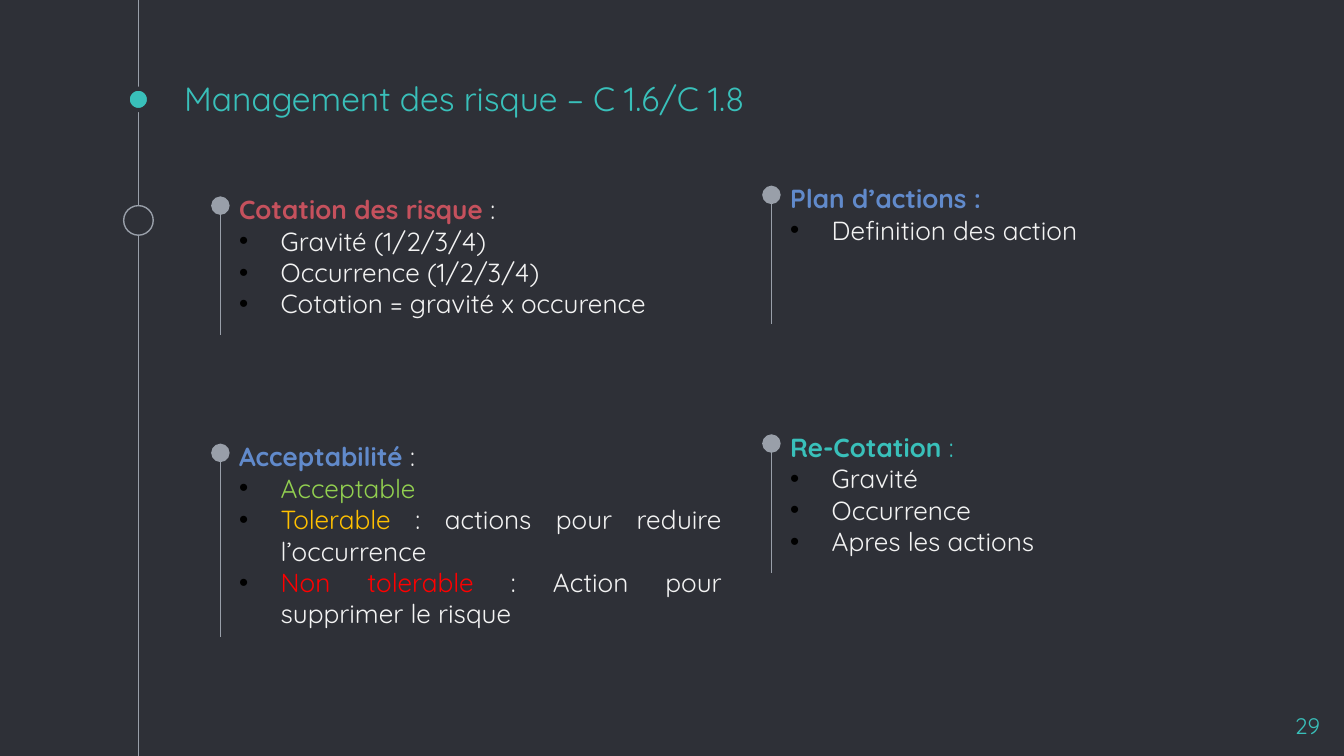
from lxml import etree
from pptx import Presentation
from pptx.dml.color import RGBColor
from pptx.enum import shapes, text
from pptx.oxml.ns import qn
from pptx.util import Inches, Pt

FONT = "Quicksand"
WIDTH = 10
HEIGHT = WIDTH * 9 / 16
COLORS = {
    "dark": "2E3037", "grey": "999FA9", "teal": "39C0BA", "white": "F3F3F3",
    "pink": "C5515D", "blue": "618ACB", "green": "92D050", "amber": "FFC000",
    "red": "FF0000", "black": "000000",
}
TITLE = "Management des risque – C 1.6/C 1.8"
PAGE = "29"

# Each run is (text, colour); the first run of a block is its bold heading.
BLOCKS = [
    dict(x=1.64, y=1.53, width=4.42, line=0.96,
         heading=[("Cotation des risque ", "pink"), (": ", "white")],
         items=[[("Gravité (1/2/3/4)", "white")],
                [("Occurrence (1/2/3/4)", "white")],
                [("Cotation = gravité x occurence", "white")]]),
    dict(x=1.64, y=3.37, width=3.79, line=1.37,
         heading=[("Acceptabilité ", "blue"), (": ", "white")],
         items=[[("Acceptable", "green")],
                [("Tolerable", "amber"),
                 (" : actions pour reduire l’occurrence", "white")],
                [("Non tolerable ", "red"),
                 (": Action pour supprimer le risque", "white")]]),
    dict(x=5.74, y=1.45, width=4.42, line=0.96,
         heading=[("Plan d’actions : ", "blue")],
         items=[[("Definition des action", "white")]]),
    dict(x=5.74, y=3.3, width=4.42, line=0.96,
         heading=[("Re-Cotation", "teal"), (" : ", "teal")],
         items=[[("Gravité ", "white")], [("Occurrence ", "white")],
                [("Apres les actions", "white")]]),
]


def rgb(name):
    return RGBColor.from_string(COLORS[name])


def place(sp, x, y, w, h):
    sp.left, sp.top, sp.width, sp.height = map(Inches, (x, y, w, h))


def setup_frame(tf, anchor=text.MSO_ANCHOR.TOP):
    tf.word_wrap = True
    tf.auto_size = text.MSO_AUTO_SIZE.NONE
    tf.vertical_anchor = anchor
    tf.margin_left = tf.margin_right = Inches(0.1)
    tf.margin_top = tf.margin_bottom = Inches(0.1)


def add_run(p, content, color, size, bold=False):
    r = p.add_run()
    r.text = content
    r.font.name, r.font.size, r.font.bold = FONT, Pt(size), bold
    r.font.color.rgb = rgb(color)


def add_bullet(p):
    pPr = p._p.get_or_add_pPr()
    pPr.set("marL", str(Inches(0.31)))
    pPr.set("indent", str(-Inches(0.31)))
    color = etree.SubElement(pPr, qn("a:buClr"))
    etree.SubElement(color, qn("a:srgbClr"), val=COLORS["black"])
    etree.SubElement(pPr, qn("a:buFont"), typeface="Arial")
    etree.SubElement(pPr, qn("a:buChar"), char="•")


def add_line(s, x, start, end, oval_end=False):
    line = s.shapes.add_connector(
        shapes.MSO_CONNECTOR.STRAIGHT, *map(Inches, (x, start, x, end)))
    line.line.color.rgb = rgb("grey")
    line.line.width = Pt(0.75)
    if oval_end:
        etree.SubElement(line.line._get_or_add_ln(), qn("a:tailEnd"),
                         type="oval", w="lg", len="lg")
    etree.SubElement(line._element.spPr, qn("a:effectLst"))


def add_dot(s, x, y, size, fill, outline, width):
    dot = s.shapes.add_shape(shapes.MSO_SHAPE.OVAL,
                             *map(Inches, (x, y, size, size)))
    dot.shadow.inherit = False
    dot.fill.solid()
    dot.fill.fore_color.rgb = rgb(fill)
    dot.line.color.rgb = rgb(outline)
    dot.line.width = Pt(width)


def add_text_frame(s, x, y, w, h):
    tf = s.shapes.add_textbox(*map(Inches, (x, y, w, h))).text_frame
    setup_frame(tf)
    return tf


def add_block(s, x, y, width, line, heading, items):
    """Draw a vertical line with a round top and a bulleted list beside it."""
    add_line(s, x, y + line, y, oval_end=True)
    tf = add_text_frame(s, x + 0.04, y - 0.19, width, 1.11)
    for i, runs in enumerate([heading] + items):
        p = tf.add_paragraph() if i else tf.paragraphs[0]
        p.alignment = text.PP_ALIGN.JUSTIFY
        if i:
            add_bullet(p)
        for j, (content, color) in enumerate(runs):
            add_run(p, content, color, 14, bold=i == j == 0)


def main():
    prs = Presentation()
    prs.slide_width, prs.slide_height = Inches(WIDTH), Inches(HEIGHT)
    s = prs.slides.add_slide(prs.slide_layouts[5])
    s.background.fill.solid()
    s.background.fill.fore_color.rgb = rgb("dark")

    add_line(s, 1.03, 0, HEIGHT)
    add_dot(s, 0.95, 0.66, 0.16, "teal", "dark", 2.25)
    add_dot(s, 0.92, 1.53, 0.22, "dark", "grey", 0.75)

    title = s.shapes.title
    place(title, 1.27, 0.6, 7.5, 0.38)
    setup_frame(title.text_frame, text.MSO_ANCHOR.BOTTOM)
    p = title.text_frame.paragraphs[0]
    p.alignment = text.PP_ALIGN.LEFT
    add_run(p, TITLE, "teal", 18)

    p = add_text_frame(s, 9.32, 5.2, 0.6, 0.34).paragraphs[0]
    p.alignment = text.PP_ALIGN.RIGHT
    add_run(p, PAGE, "teal", 12)

    for block in BLOCKS:
        add_block(s, **block)
    prs.save("out.pptx")


if __name__ == "__main__":
    main()
